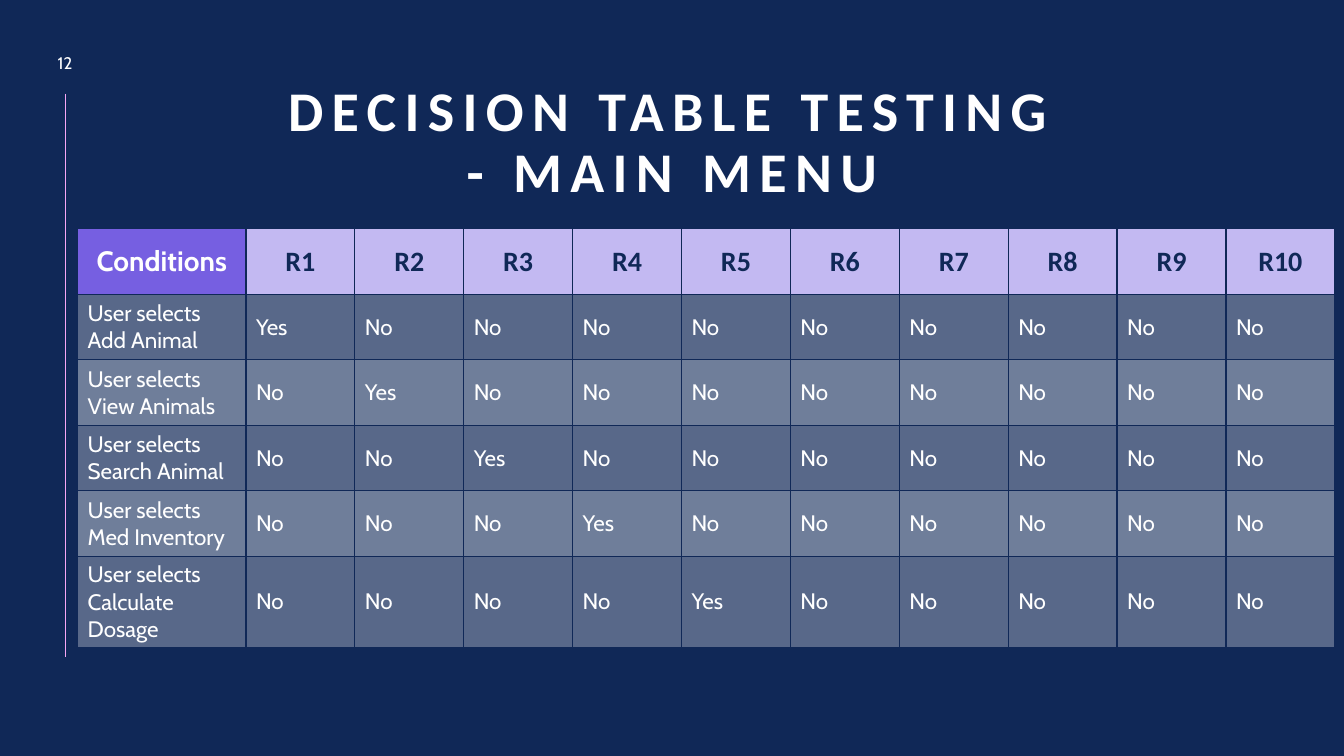
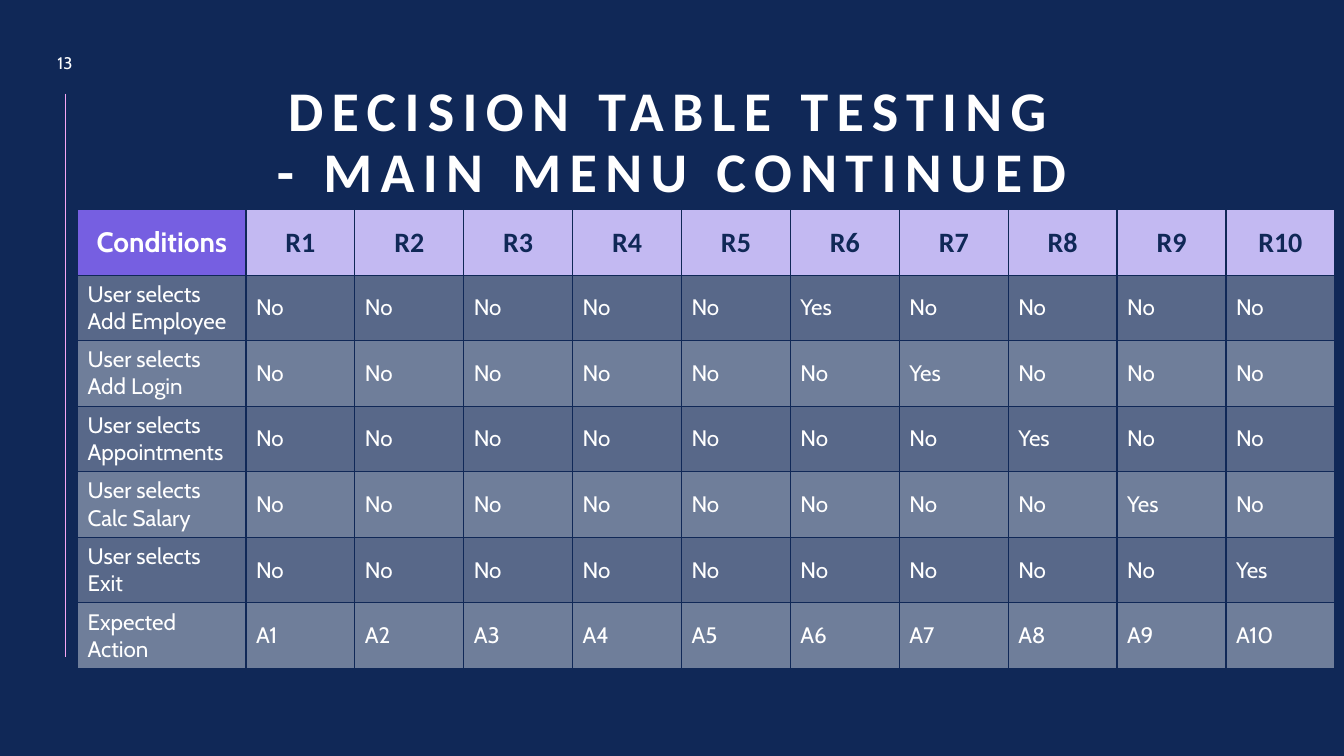
from lxml.etree import SubElement
from pptx import Presentation
from pptx.dml.color import RGBColor
from pptx.enum.shapes import MSO_CONNECTOR
from pptx.enum.text import MSO_ANCHOR, MSO_AUTO_SIZE, PP_ALIGN
from pptx.oxml.ns import qn
from pptx.util import Inches, Pt

# Content: each condition is met by one rule, in running order
RULES = [f"R{number}" for number in range(1, 11)]
ACTIONS = [f"A{number}" for number in range(1, 11)]
SLIDES = [
    {
        "number": 12,
        "title": "DECISION TABLE TESTING\v- MAIN MENU",
        "table_top": 2.27,
        "first_rule": 0,
        "conditions": ["Add Animal", "View Animals", "Search Animal",
                       "Med Inventory", "Calculate Dosage"],
        "last_rows": [],
    },
    {
        "number": 13,
        "title": "DECISION TABLE TESTING\v- MAIN MENU CONTINUED",
        "table_top": 2.08,
        "first_rule": 5,
        "conditions": ["Add Employee", "Add Login", "Appointments",
                       "Calc Salary", "Exit"],
        "last_rows": [["Expected Action"] + ACTIONS],
    },
]

# Shared style
COLORS = {"navy": "102857", "white": "FFFFFF", "violet": "765FE1",
          "lavender": "C3B9F2", "pink": "F6A6F4"}
BODY_FONT, HEADING_FONT = "Cabin", "Calibri"
TABLE_LEFT, LABEL_WIDTH, RULE_WIDTH, ROW_HEIGHT = 0.77, 1.67, 1.08, 0.65
BAND_OPACITY = (30, 40)


def color(name):
    return RGBColor.from_string(COLORS[name])


def format_paragraph(paragraph, font_name, size, color_name="white",
                     bold=False, alignment=PP_ALIGN.CENTER):
    paragraph.alignment = alignment
    font = paragraph.font
    font.name, font.size, font.bold = font_name, Pt(size), bold
    font.color.rgb = color(color_name)


def add_title(slide, text):
    title = slide.shapes.title
    title.left, title.top = Inches(1.2), Inches(0.91)
    title.width, title.height = Inches(10.93), Inches(1.17)
    frame = title.text_frame
    frame.auto_size, frame.word_wrap = MSO_AUTO_SIZE.NONE, True
    frame.vertical_anchor = MSO_ANCHOR.BOTTOM
    paragraph = frame.paragraphs[0]
    paragraph.text = text
    paragraph.line_spacing = 0.9
    format_paragraph(paragraph, HEADING_FONT, 40, bold=True)
    # Letter spacing, in hundredths of a point
    for properties in paragraph._p.iter(qn("a:defRPr")):
        properties.set("spc", "600")
    for run in paragraph.runs:
        run._r.get_or_add_rPr().set("spc", "600")


def add_side_line(slide):
    line = slide.shapes.add_connector(MSO_CONNECTOR.STRAIGHT, Inches(0.65),
                                      Inches(0.93), Inches(0.65), Inches(6.52))
    line.line.color.rgb = color("pink")
    line.line.width = Pt(0.5)
    SubElement(line._element.spPr, qn("a:effectLst"))


def add_page_number(slide, number):
    box = slide.shapes.add_textbox(Inches(0.36), Inches(0.45),
                                   Inches(0.57), Inches(0.34))
    frame = box.text_frame
    frame.word_wrap = True
    frame.vertical_anchor = MSO_ANCHOR.MIDDLE
    frame.text = str(number)
    format_paragraph(frame.paragraphs[0], BODY_FONT, 12)


def style_cell(cell, fill_name, opacity=100):
    cell.vertical_anchor = MSO_ANCHOR.MIDDLE
    properties = cell._tc.get_or_add_tcPr()
    for side in ("lnL", "lnR", "lnT", "lnB"):
        border = SubElement(properties, qn(f"a:{side}"), w=str(Pt(1)))
        border_fill = SubElement(border, qn("a:solidFill"))
        SubElement(border_fill, qn("a:srgbClr"), val=COLORS["navy"])
    cell.fill.solid()
    cell.fill.fore_color.rgb = color(fill_name)
    if opacity < 100:
        fill_color = properties.find(qn("a:solidFill")).find(qn("a:srgbClr"))
        SubElement(fill_color, qn("a:alpha"), val=str(opacity * 1000))


def decision_rows(content):
    rows = [["Conditions"] + RULES]
    for met_rule, condition in enumerate(content["conditions"], content["first_rule"]):
        answers = ["Yes" if rule == met_rule else "No" for rule in range(len(RULES))]
        rows.append([f"User selects {condition}"] + answers)
    return rows + content["last_rows"]


def add_decision_table(slide, content):
    rows = decision_rows(content)
    widths = [LABEL_WIDTH] + [RULE_WIDTH] * len(RULES)
    table = slide.shapes.add_table(
        len(rows), len(widths), Inches(TABLE_LEFT), Inches(content["table_top"]),
        Inches(sum(widths)), Inches(ROW_HEIGHT * len(rows))).table
    table.first_row = table.horz_banding = False
    for column, width in zip(table.columns, widths):
        column.width = Inches(width)
    for row_index, texts in enumerate(rows):
        table.rows[row_index].height = Inches(ROW_HEIGHT)
        for column_index, text in enumerate(texts):
            cell = table.cell(row_index, column_index)
            cell.text = text
            paragraph = cell.text_frame.paragraphs[0]
            if row_index:
                style_cell(cell, "white", BAND_OPACITY[(row_index - 1) % 2])
                format_paragraph(paragraph, BODY_FONT, 16, alignment=PP_ALIGN.LEFT)
            elif column_index:
                style_cell(cell, "lavender")
                format_paragraph(paragraph, HEADING_FONT, 20, "navy", bold=True)
            else:
                style_cell(cell, "violet")
                format_paragraph(paragraph, BODY_FONT, 20, bold=True)


def main():
    presentation = Presentation()
    presentation.slide_width, presentation.slide_height = Inches(13.33), Inches(7.5)
    background = presentation.slide_master.background.fill
    background.solid()
    background.fore_color.rgb = color("navy")
    title_only = presentation.slide_layouts.get_by_name("Title Only")
    for content in SLIDES:
        slide = presentation.slides.add_slide(title_only)
        add_side_line(slide)
        add_title(slide, content["title"])
        add_page_number(slide, content["number"])
        add_decision_table(slide, content)
    presentation.save("out.pptx")


if __name__ == "__main__":
    main()
